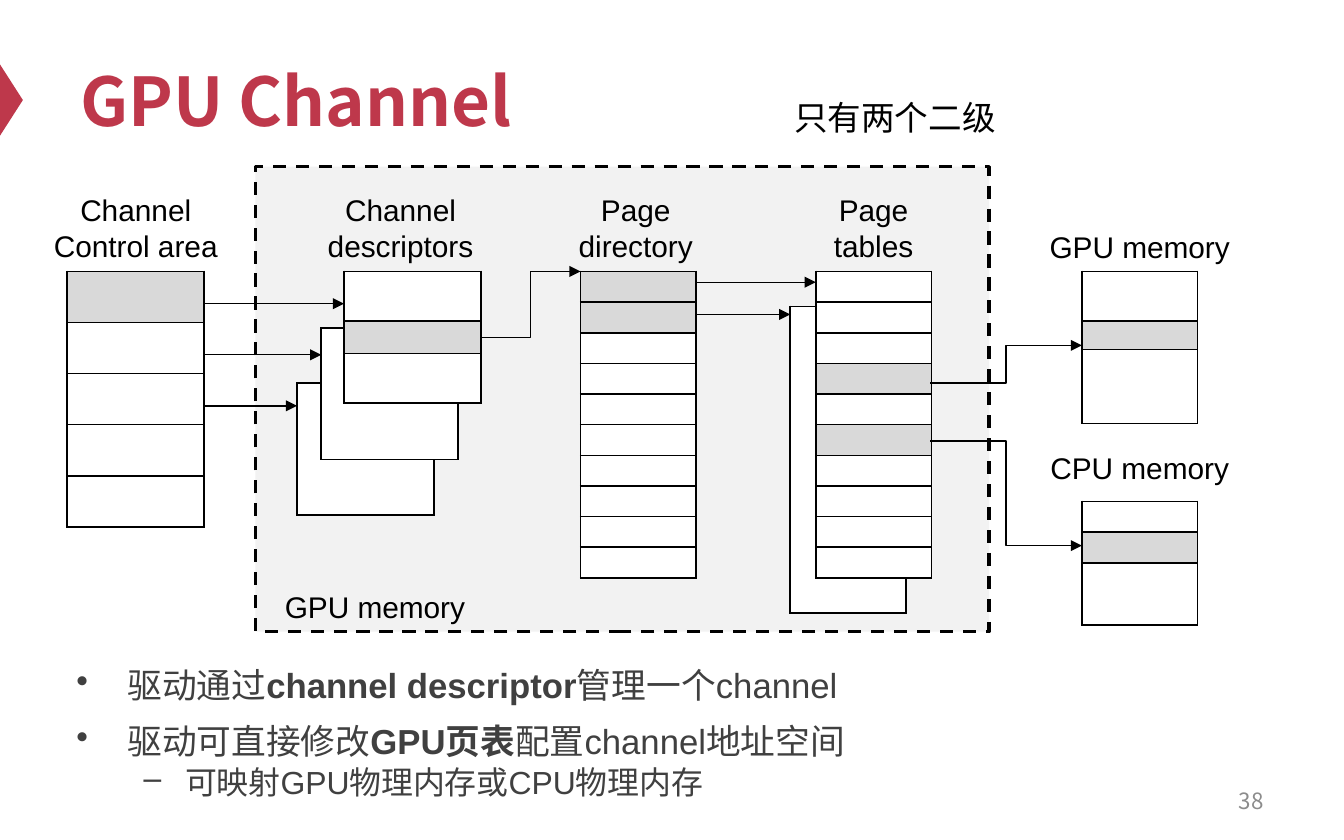
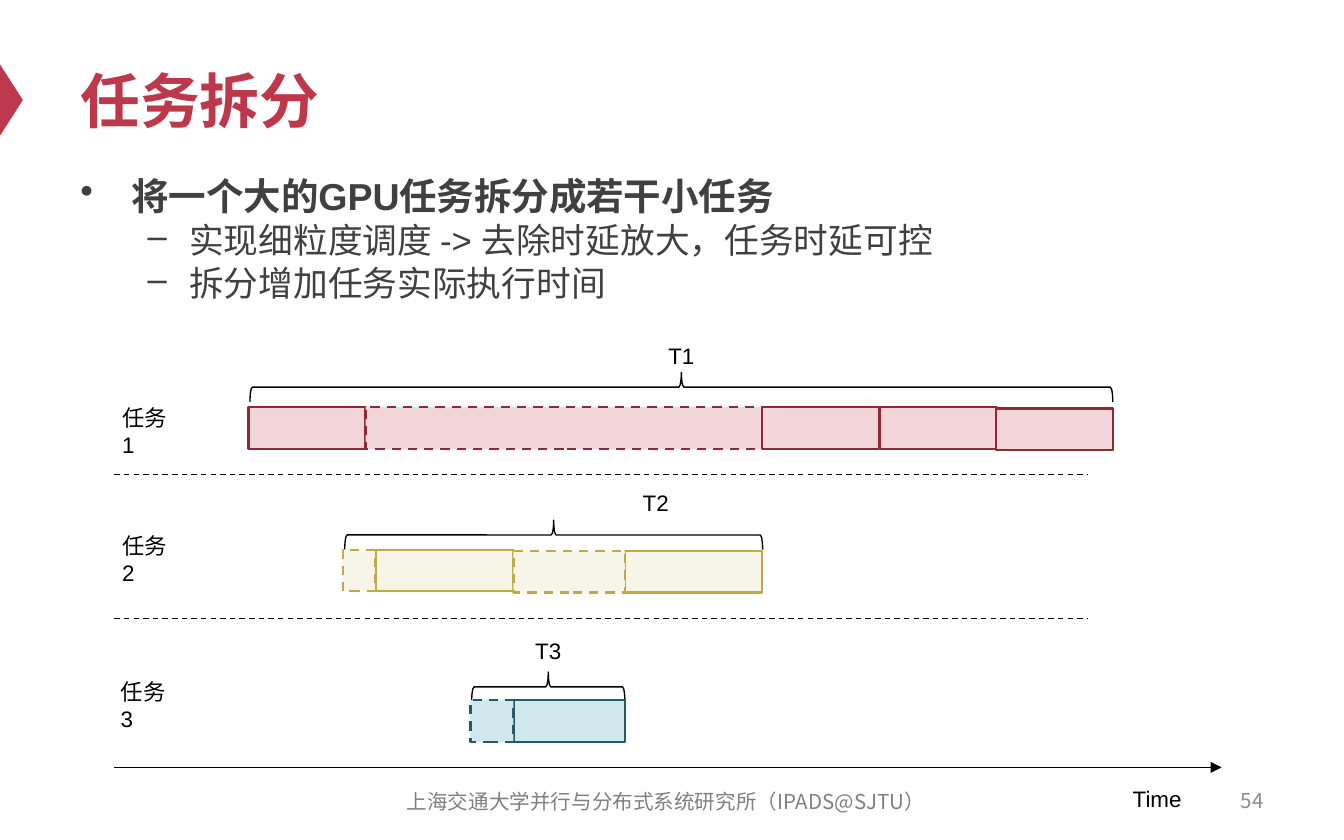
from lxml.etree import SubElement
from pptx import Presentation
from pptx.dml.color import RGBColor
from pptx.enum.dml import MSO_LINE
from pptx.enum.shapes import MSO_CONNECTOR, MSO_SHAPE
from pptx.enum.text import MSO_ANCHOR, PP_ALIGN
from pptx.oxml.ns import qn
from pptx.util import Inches, Pt

BLACK = RGBColor(0x00, 0x00, 0x00)
WHITE = RGBColor(0xFF, 0xFF, 0xFF)
CRIMSON = RGBColor(0xBE, 0x38, 0x4B)
BODY_GRAY = RGBColor(0x40, 0x40, 0x40)
NUMBER_GRAY = RGBColor(0x8C, 0x8C, 0x8C)
FOOTER_GRAY = RGBColor(0x80, 0x80, 0x80)
PANEL_GRAY = RGBColor(0xF2, 0xF2, 0xF2)
CELL_GRAY = RGBColor(0xD9, 0xD9, 0xD9)
PINK, DARK_RED = RGBColor(0xF3, 0xD6, 0xDA), RGBColor(0x8E, 0x2A, 0x38)
CREAM, GOLD = RGBColor(0xF7, 0xF4, 0xE8), RGBColor(0xBF, 0xA9, 0x4A)
SKY, TEAL = RGBColor(0xD0, 0xE7, 0xEE), RGBColor(0x25, 0x5A, 0x6A)
LATIN, CJK = "Arial", "Noto Sans CJK SC"


def add_text(slide, box, lines, size, color=BLACK, font=LATIN, bold=False,
             align=PP_ALIGN.LEFT, anchor=MSO_ANCHOR.TOP):
    """Add a text box; each line is a string or a list of (text, bold) runs."""
    frame = slide.shapes.add_textbox(*map(Inches, box)).text_frame
    frame.word_wrap = True
    frame.vertical_anchor = anchor
    for index, line in enumerate(lines):
        paragraph = frame.paragraphs[0] if index == 0 else frame.add_paragraph()
        paragraph.alignment = align
        runs = [(line, bold)] if isinstance(line, str) else line
        for text, run_bold in runs:
            run = paragraph.add_run()
            run.text = text
            if len(runs) > 1:
                run.font.bold = run_bold
        paragraph.font.size = Pt(size)
        paragraph.font.name = font
        paragraph.font.color.rgb = color
        if len(runs) == 1:
            paragraph.font.bold = runs[0][1]
        defaults = paragraph._p.pPr.find(qn("a:defRPr"))
        SubElement(defaults, qn("a:ea"), typeface=CJK)
    return frame


def add_line(slide, kind, ends, dashed=False):
    """Add a thin black line, dashed or ending in an arrowhead."""
    connector = slide.shapes.add_connector(kind, *map(Inches, ends))
    connector.line.color.rgb = BLACK
    connector.line.width = Pt(0.75)
    if dashed:
        connector.line.dash_style = MSO_LINE.DASH
    else:
        SubElement(connector.line._get_or_add_ln(), qn("a:tailEnd"), type="triangle")
    SubElement(connector._element.spPr, qn("a:effectLst"))


presentation = Presentation()
presentation.slide_width = Inches(10)
presentation.slide_height = Inches(6.25)

# Marker, title, body and page number of both slides
# (title, title size, title font, number, number size, body box, body lines as (level, size, runs))
contents = [
    ("GPU Channel", 36, CJK, "38", 12, (0.47, 4.93, 9, 1.27), [
        (0, 18.6, [("驱动通过", False), ("channel descriptor", True), ("管理一个channel", False)]),
        (0, 18.6, [("驱动可直接修改", False), ("GPU页表", True), ("配置channel地址空间", False)]),
        (1, 17.1, [("可映射GPU物理内存或CPU物理内存", False)]),
    ]),
    ("任务拆分", 32, LATIN, "54", 11, (0.5, 1.28, 9, 1.24), [
        (0, 20.1, [("将一个大的GPU任务拆分成若干小任务", True)]),
        (1, 18.6, [("实现细粒度调度 -> 去除时延放大，任务时延可控", False)]),
        (1, 18.6, [("拆分增加任务实际执行时间", False)]),
    ]),
]
# bullet, left margin, hanging indent, space before
levels = [("•", 0.38, -0.38, 10), ("–", 0.81, -0.31, 3)]

for title, title_size, title_font, number, number_size, body_box, body in contents:
    slide = presentation.slides.add_slide(presentation.slide_layouts[6])
    marker = slide.shapes.add_shape(MSO_SHAPE.ISOSCELES_TRIANGLE, Inches(-0.18),
                                    Inches(0.66), Inches(0.53), Inches(0.17))
    marker.rotation = 90
    marker.shadow.inherit = False
    marker.fill.solid()
    marker.fill.fore_color.rgb = CRIMSON
    marker.line.fill.background()
    add_text(slide, (0.5, 0.25, 9, 0.98), [title], title_size, CRIMSON, title_font,
             bold=True, anchor=MSO_ANCHOR.MIDDLE)
    add_text(slide, (7.17, 5.79, 2.33, 0.33), [number], number_size, NUMBER_GRAY, CJK,
             align=PP_ALIGN.RIGHT, anchor=MSO_ANCHOR.MIDDLE)
    frame = add_text(slide, body_box, [runs for _, _, runs in body], 18.6, BODY_GRAY)
    for index, (paragraph, (level, size, _)) in enumerate(zip(frame.paragraphs, body)):
        bullet, margin, indent, space = levels[level]
        properties = paragraph._p.get_or_add_pPr()
        properties.set("marL", str(Inches(margin)))
        properties.set("indent", str(Inches(indent)))
        properties.insert(0, properties.makeelement(qn("a:buChar"), {"char": bullet}))
        paragraph.level = level
        paragraph.line_spacing = 0.89
        if index:
            paragraph.space_before = Pt(space)
        paragraph.font.size = Pt(size)

channel_slide, split_slide = presentation.slides

# GPU channel diagram
panel = channel_slide.shapes.add_shape(MSO_SHAPE.RECTANGLE, Inches(1.9), Inches(1.24),
                                       Inches(5.46), Inches(3.46))
panel.shadow.inherit = False
panel.fill.solid()
panel.fill.fore_color.rgb = PANEL_GRAY
panel.line.color.rgb = BLACK
panel.line.width = Pt(1.75)
panel.line.dash_style = MSO_LINE.DASH

page_rows = [2.28 / 10] * 10
# left, top, width, row heights, gray rows
tables = [
    (2.21, 2.85, 1.02, [0.98], []),
    (0.5, 2.02, 1.02, [0.38] * 5, [0]),
    (2.39, 2.44, 1.02, [0.98], []),
    (5.88, 2.28, 0.86, [2.28], []),
    (2.56, 2.02, 1.02, [0.37, 0.24, 0.37], [1]),
    (4.32, 2.02, 0.86, page_rows, [0, 1]),
    (6.07, 2.02, 0.86, page_rows, [3, 5]),
    (8.05, 2.02, 0.86, [0.37, 0.21, 0.55], [1]),
    (8.05, 3.73, 0.86, [0.23, 0.23, 0.46], [1]),
]
for left, top, width, heights, gray_rows in tables:
    table = channel_slide.shapes.add_table(len(heights), 1, Inches(left), Inches(top),
                                           Inches(width), Inches(sum(heights))).table
    table.first_row = table.horz_banding = False
    for index, height in enumerate(heights):
        table.rows[index].height = Inches(height)
        cell = table.cell(index, 0)
        cell.margin_left = cell.margin_right = cell.margin_top = cell.margin_bottom = 0
        # A small empty line keeps the row from growing
        SubElement(cell.text_frame.paragraphs[0]._p, qn("a:endParaRPr"), sz="600")
        for side in ("a:lnL", "a:lnR", "a:lnT", "a:lnB"):
            border = SubElement(cell._tc.get_or_add_tcPr(), qn(side), w=str(Pt(1)))
            SubElement(SubElement(border, qn("a:solidFill")), qn("a:srgbClr"), val=str(BLACK))
        cell.fill.solid()
        cell.fill.fore_color.rgb = CELL_GRAY if index in gray_rows else WHITE

for start, end, y in [(1.52, 2.56, 2.26), (1.52, 2.39, 2.64), (1.52, 2.21, 3.02),
                      (5.18, 6.07, 2.1), (5.18, 5.88, 2.34)]:
    add_line(channel_slide, MSO_CONNECTOR.STRAIGHT, (start, y, end, y))
for ends in [(3.58, 2.51, 4.32, 2.02), (6.92, 2.85, 8.05, 2.57), (6.92, 3.28, 8.05, 4.06)]:
    add_line(channel_slide, MSO_CONNECTOR.ELBOW, ends)

for left, top, lines in [
    (0.12, 1.38, ["Channel", "Control area"]),
    (2.09, 1.38, ["Channel", "descriptors"]),
    (3.84, 1.38, ["Page", "directory"]),
    (5.61, 1.38, ["Page", "tables"]),
    (7.59, 1.65, ["GPU memory"]),
    (7.59, 3.3, ["CPU memory"]),
    (1.9, 4.33, ["GPU memory"]),
]:
    add_text(channel_slide, (left, top, 1.78, 0.1 + 0.27 * len(lines)), lines, 16,
             align=PP_ALIGN.CENTER)
add_text(channel_slide, (5.81, 0.67, 1.9, 0.4), ["只有两个二级"], 18)

# Task timeline
add_text(split_slide, (2.79, 5.8, 4.33, 0.33), ["上海交通大学并行与分布式系统研究所（IPADS@SJTU）"],
         11, FOOTER_GRAY, CJK, align=PP_ALIGN.CENTER, anchor=MSO_ANCHOR.MIDDLE)
add_line(split_slide, MSO_CONNECTOR.STRAIGHT, (0.85, 5.71, 9.09, 5.71))
for y in (3.53, 4.6):
    add_line(split_slide, MSO_CONNECTOR.STRAIGHT, (0.85, y, 8.09, y), dashed=True)
add_text(split_slide, (8.33, 5.79, 0.7, 0.3), ["Time"], 12)

BRACE_DEPTH, SEGMENT_HEIGHT = 0.22, 0.31
# name, name left and top, span, span centre x, top and y of brace, fill, line,
# segments as (left, top, width, dashed)
tasks = [
    ("任务1", 0.81, 2.96, "T1", 5.07, 2.5, 5.07, 2.88, 6.42, PINK, DARK_RED,
     [(1.85, 3.03, 0.87, False), (2.72, 3.03, 2.95, True), (5.67, 3.03, 0.87, False),
      (6.55, 3.03, 0.87, False), (7.41, 3.04, 0.87, False)]),
    ("任务2", 0.81, 3.91, "T2", 4.88, 3.59, 4.12, 3.98, 3.11, CREAM, GOLD,
     [(2.8, 4.09, 1.02, False), (4.65, 4.1, 1.02, False),
      (2.55, 4.09, 0.24, True), (3.82, 4.1, 0.83, True)]),
    ("任务3", 0.8, 5, "T3", 4.08, 4.69, 4.08, 5.11, 1.14, SKY, TEAL,
     [(3.82, 5.21, 0.83, False), (3.5, 5.21, 0.32, True)]),
]
for (name, name_left, name_top, span, span_x, span_top, brace_x, brace_y, brace_length,
     fill_color, line_color, segments) in tasks:
    add_text(split_slide, (name_left, name_top, 0.6, 0.5), [name], 12)
    add_text(split_slide, (span_x - 0.3, span_top, 0.6, 0.3), [span], 12,
             align=PP_ALIGN.CENTER)
    brace = split_slide.shapes.add_shape(
        MSO_SHAPE.RIGHT_BRACE, Inches(brace_x - BRACE_DEPTH / 2),
        Inches(brace_y - brace_length / 2), Inches(BRACE_DEPTH), Inches(brace_length))
    brace.rotation = 270
    brace.shadow.inherit = False
    brace.fill.background()
    brace.line.color.rgb = BLACK
    brace.line.width = Pt(0.75)
    for left, top, width, dashed in segments:
        segment = split_slide.shapes.add_shape(MSO_SHAPE.RECTANGLE, Inches(left), Inches(top),
                                               Inches(width), Inches(SEGMENT_HEIGHT))
        segment.shadow.inherit = False
        segment.fill.solid()
        segment.fill.fore_color.rgb = fill_color
        segment.line.color.rgb = line_color
        segment.line.width = Pt(1.25)
        if dashed:
            segment.line.dash_style = MSO_LINE.DASH

presentation.save("out.pptx")
